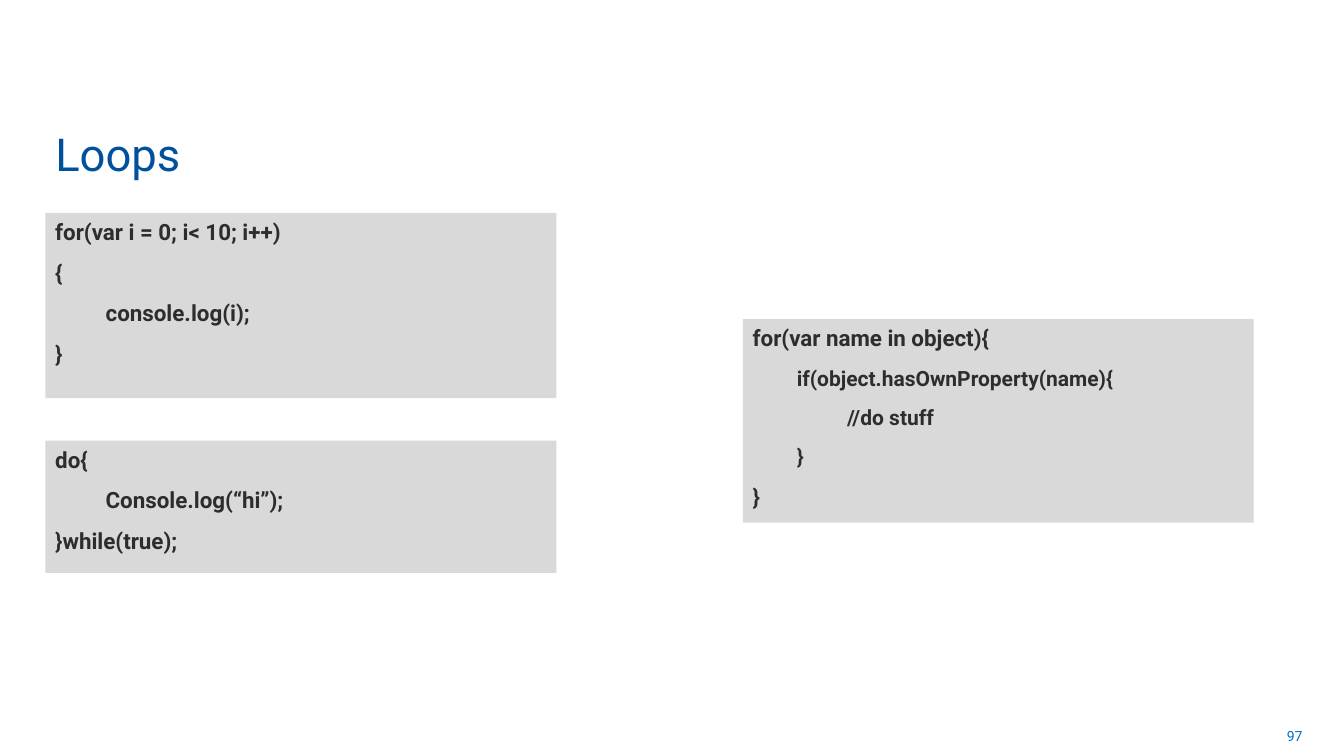
from pptx import Presentation
from pptx.dml.color import RGBColor
from pptx.enum.shapes import MSO_SHAPE
from pptx.enum.text import MSO_ANCHOR, PP_ALIGN
from pptx.util import Pt

RECT = MSO_SHAPE.RECTANGLE
TOP, MIDDLE, BOTTOM = MSO_ANCHOR.TOP, MSO_ANCHOR.MIDDLE, MSO_ANCHOR.BOTTOM
LEFT, RIGHT = PP_ALIGN.LEFT, PP_ALIGN.RIGHT

FONT = "Roboto"
INK, GREY, NAVY, BLUE = "2E2D2C", "D9D9D9", "00519C", "0070C0"
EDGE, WIDE = 32.4, 365
INDENT = 31.5

FOR_LOOP = [
    ("for(var i = 0; i< 10; i++)", 0, 16),
    ("{", 0, 16),
    ("\tconsole.log(i);", 0, 16),
    ("}", 0, 16),
]
DO_LOOP = [
    ("do{", 0, 16),
    ("\tConsole.log(“hi”);", 0, 16),
    ("}while(true);", 0, 16),
]
FOR_IN = [
    ("for(var name in object){", 0, 16),
    ("if(object.hasOwnProperty(name){", 1, 15),
    ("\t//do stuff", 1, 15),
    ("}", 1, 15),
    ("}", 0, 16),
]


def color(code):
    return RGBColor.from_string(code)


def add_run(para, text, size, code, bold=False):
    run = para.add_run()
    run.text = text
    font = run.font
    font.name, font.size, font.bold = FONT, Pt(size), bold
    font.color.rgb = color(code)


def label(slide, box, text, size, code, anchor, align=LEFT, foot=3.6):
    frame = slide.shapes.add_textbox(*map(Pt, box)).text_frame
    frame.word_wrap = True
    frame.vertical_anchor = anchor
    frame.margin_bottom = Pt(foot)
    para = frame.paragraphs[0]
    para.alignment = align
    add_run(para, text, size, code)


def code_box(slide, box, lines):
    shape = slide.shapes.add_shape(RECT, *map(Pt, box))
    shape.shadow.inherit = False
    shape.fill.solid()
    shape.fill.fore_color.rgb = color(GREY)
    shape.line.fill.background()
    frame = shape.text_frame
    frame.word_wrap = True
    frame.vertical_anchor = TOP
    for row, (text, level, size) in enumerate(lines):
        para = frame.add_paragraph() if row else frame.paragraphs[0]
        para.alignment = LEFT
        para.space_before, para.space_after = Pt(2), Pt(8)
        if level:
            para.level = level
            props = para._p.get_or_add_pPr()
            props.set("marL", str(Pt(INDENT * level)))
            props.set("indent", "0")
        add_run(para, text, size, INK, True)


def main():
    deck = Presentation()
    deck.slide_width, deck.slide_height = Pt(960), Pt(540)
    slide = deck.slides.add_slide(deck.slide_layouts[6])
    label(slide, (713.5, 511.2, 224, 28.8), "97", 10, BLUE, MIDDLE, RIGHT)
    label(slide, (EDGE, 81.4, 718.6, 49.7), "Loops", 32.4, NAVY, BOTTOM, foot=2)
    code_box(slide, (EDGE, 152, WIDE, 132.4), FOR_LOOP)
    code_box(slide, (EDGE, 314.8, WIDE, 94.4), DO_LOOP)
    code_box(slide, (530.6, 228, WIDE, 145.4), FOR_IN)
    deck.save("out.pptx")


if __name__ == "__main__":
    main()
